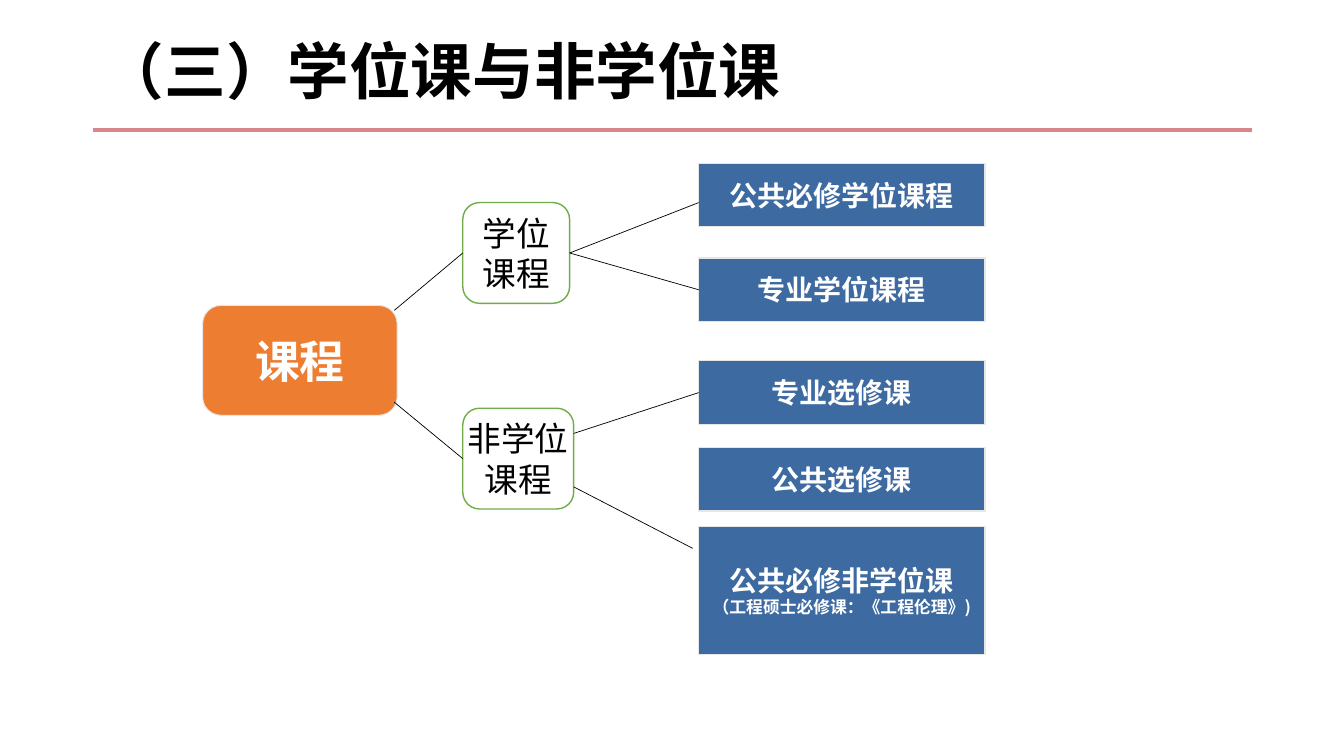
from lxml import etree
from pptx import Presentation
from pptx.dml.color import RGBColor
from pptx.enum.shapes import MSO_CONNECTOR, MSO_SHAPE
from pptx.enum.text import MSO_ANCHOR, MSO_AUTO_SIZE, PP_ALIGN
from pptx.oxml.ns import qn
from pptx.util import Inches, Pt

BLACK = RGBColor(0x00, 0x00, 0x00)
WHITE = RGBColor(0xFF, 0xFF, 0xFF)
ORANGE = RGBColor(0xED, 0x7D, 0x31)
GREEN = RGBColor(0x70, 0xAD, 0x47)
BLUE = RGBColor(0x3D, 0x6A, 0xA1)
PALE_GRAY = RGBColor(0xE7, 0xE6, 0xE6)
ROSE = RGBColor(0xD9, 0x85, 0x8C)

STRAIGHT = MSO_CONNECTOR.STRAIGHT
RECTANGLE = MSO_SHAPE.RECTANGLE
ROUNDED = MSO_SHAPE.ROUNDED_RECTANGLE
MIDDLE = MSO_ANCHOR.MIDDLE
NO_AUTOFIT = MSO_AUTO_SIZE.NONE
LEFT, CENTER = PP_ALIGN.LEFT, PP_ALIGN.CENTER

LATIN_FONT = "Arial"
CHINESE_FONT = "Noto Sans CJK SC"
LEFT_SIDE, RIGHT_SIDE = 1, 3


def write_paragraph(para, text, size, color, bold, font_name, align):
    para.text = text
    para.alignment = align
    font = para.font
    font.size = Pt(size)
    font.bold = bold
    font.color.rgb = color
    font.name = font_name
    defaults = para._p.pPr.find(qn("a:defRPr"))
    east_asian = etree.SubElement(defaults, qn("a:ea"))
    east_asian.set("typeface", CHINESE_FONT)


def add_line(slide, start, end, color, width):
    points = [Inches(value) for value in (*start, *end)]
    line = slide.shapes.add_connector(STRAIGHT, *points)
    line.line.color.rgb = color
    line.line.width = Pt(width)
    etree.SubElement(line._element.spPr, qn("a:effectLst"))
    return line


def add_branch(slide, start, end, begin_box=None, end_box=None):
    branch = add_line(slide, start, end, BLACK, 0.5)
    if begin_box is not None:
        branch.begin_connect(begin_box, RIGHT_SIDE)
    if end_box is not None:
        branch.end_connect(end_box, LEFT_SIDE)


def add_box(slide, kind, bounds, fill, outline, width, lines, color, bold, font_name):
    box = slide.shapes.add_shape(kind, *[Inches(value) for value in bounds])
    box.shadow.inherit = False
    box.fill.solid()
    box.fill.fore_color.rgb = fill
    box.line.color.rgb = outline
    box.line.width = Pt(width)
    frame = box.text_frame
    frame.word_wrap = False
    frame.vertical_anchor = MIDDLE
    for index, (text, size) in enumerate(lines):
        para = frame.add_paragraph() if index else frame.paragraphs[0]
        write_paragraph(para, text, size, color, bold, font_name, CENTER)
    return box


def add_heading(slide, left, top, width, height, text):
    add_line(slide, (left, top + height), (left + width, top + height), ROSE, 3)
    title = slide.shapes.title
    title.left, title.top = Inches(left), Inches(top)
    title.width, title.height = Inches(width), Inches(height)
    frame = title.text_frame
    frame.word_wrap = True
    frame.auto_size = NO_AUTOFIT
    frame.vertical_anchor = MIDDLE
    para = frame.paragraphs[0]
    para.line_spacing = 0.9
    write_paragraph(para, text, 44, BLACK, True, LATIN_FONT, LEFT)


def add_group(slide, left, top, width, words):
    lines = [(word, 24) for word in words]
    return add_box(slide, ROUNDED, (left, top, width, 1), WHITE, GREEN, 1,
                   lines, BLACK, False, LATIN_FONT)


def add_course(slide, left, top, height, lines):
    return add_box(slide, RECTANGLE, (left, top, 2.84, height), BLUE, PALE_GRAY, 0.75,
                   lines, WHITE, True, CHINESE_FONT)


def add_course_tree(slide, left, top):
    group_left = left + 2.58
    course_left = left + 4.92
    add_box(slide, ROUNDED, (left, top + 1.41, 1.93, 1.09), ORANGE, PALE_GRAY, 0.75,
            [("课程", 32)], WHITE, True, CHINESE_FONT)
    degree = add_group(slide, group_left, top + 0.39, 1.06, ("学位", "课程"))
    non_degree = add_group(slide, group_left, top + 2.43, 1.1, ("非学位", "课程"))

    courses = [
        (0, 0.63, [("公共必修学位课程", 20)]),
        (0.94, 0.63, [("专业学位课程", 20)]),
        (1.96, 0.63, [("专业选修课", 20)]),
        (2.82, 0.63, [("公共选修课", 20)]),
        (3.6, 1.27, [("公共必修非学位课", 20), ("（工程硕士必修课：《工程伦理》)", 12)]),
    ]
    boxes = [add_course(slide, course_left, top + offset, height, lines)
             for offset, height, lines in courses]

    degree_middle = top + 0.89
    non_degree_middle = top + 2.93
    add_branch(slide, (left + 1.9, top + 1.46), (group_left, degree_middle),
               end_box=degree)
    add_branch(slide, (left + 1.9, top + 2.37), (group_left, non_degree_middle),
               end_box=non_degree)
    add_branch(slide, (group_left + 1.06, degree_middle), (course_left, top + 0.39),
               begin_box=degree)
    add_branch(slide, (group_left + 1.06, degree_middle), (course_left, top + 1.26),
               begin_box=degree, end_box=boxes[1])
    add_branch(slide, (group_left + 1.1, top + 2.68), (course_left, top + 2.28),
               end_box=boxes[2])
    add_branch(slide, (group_left + 1.1, top + 3.21), (course_left - 0.06, top + 3.82))


def main():
    deck = Presentation()
    deck.slide_width = Inches(13.33)
    deck.slide_height = Inches(7.5)
    slide = deck.slides.add_slide(deck.slide_layouts[5])
    add_heading(slide, 0.92, 0.19, 11.5, 1.1, "（三）学位课与非学位课")
    add_course_tree(slide, 2.01, 1.62)
    deck.save("out.pptx")


if __name__ == "__main__":
    main()
